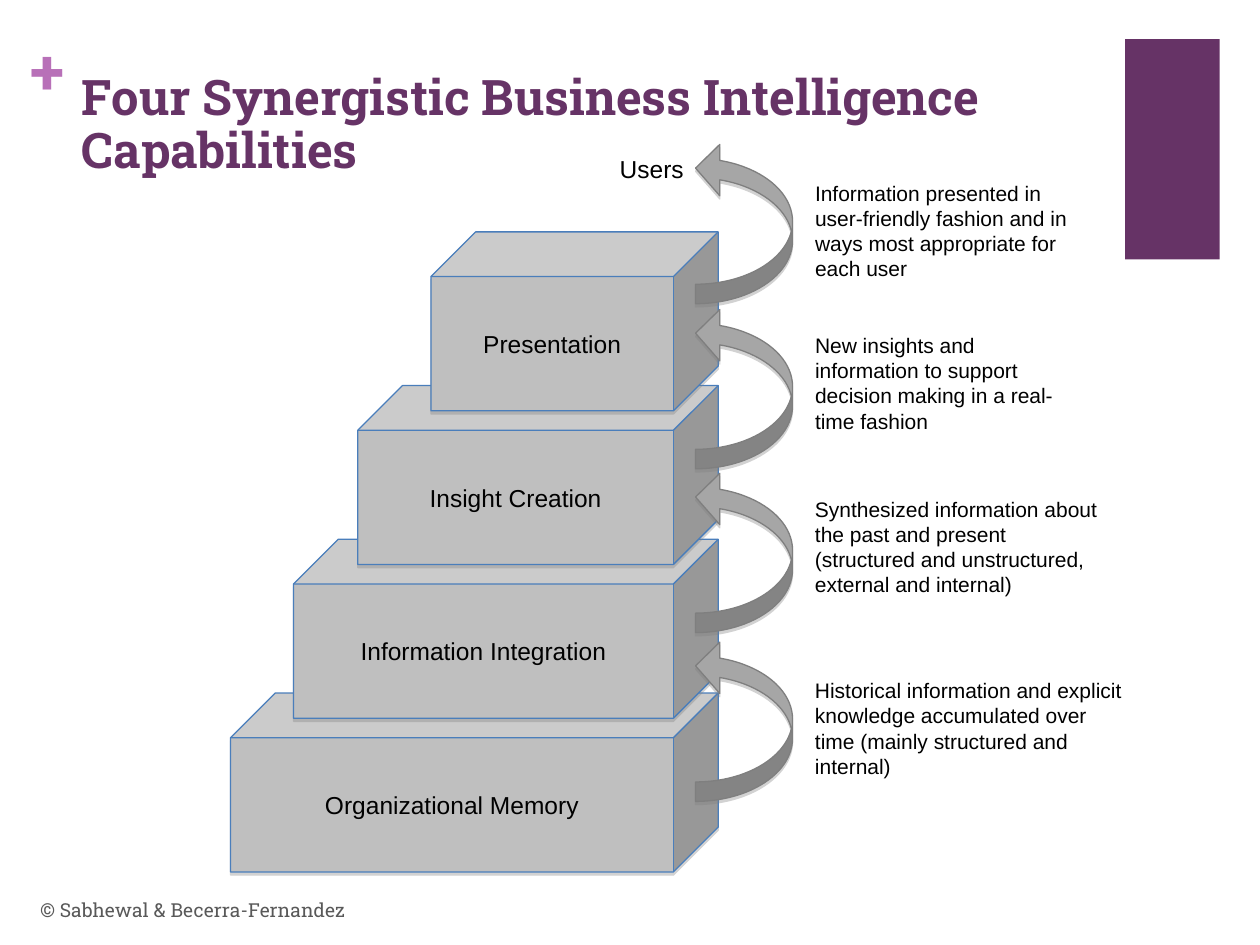
"""Build the slide on four synergistic business intelligence capabilities."""
from lxml import etree
from pptx import Presentation
from pptx.dml.color import RGBColor
from pptx.enum import shapes, text
from pptx.oxml import parse_xml
from pptx.util import Inches, Pt

SHADE = (
    '<a:effectLst xmlns:a="http://schemas.openxmlformats.org/drawingml/2006/main">'
    '<a:outerShdw blurRad="0" dist="22860" dir="5400000" rotWithShape="0">'
    '<a:srgbClr val="808080"><a:alpha val="35000"/></a:srgbClr>'
    '</a:outerShdw></a:effectLst>'
)


def write(shape, words, size, color="000000", face="Arial", bold=False):
    frame = shape.text_frame
    frame.word_wrap = True
    frame.text = words
    para = frame.paragraphs[0]
    para.font.size = Pt(size)
    para.font.name = face
    para.font.bold = bold
    para.font.color.rgb = RGBColor.from_string(color)
    return para


def draw(kind, box, fill, line=None):
    shape = slide.shapes.add_shape(kind, *map(Inches, box))
    shape.fill.solid()
    shape.fill.fore_color.rgb = RGBColor.from_string(fill)
    if line:
        shape.line.color.rgb = RGBColor.from_string(line)
        shape.line.width = Pt(0.75)
        shape._element.spPr.append(parse_xml(SHADE))
    else:
        shape.line.fill.background()
        shape.shadow.inherit = False
    return shape


deck = Presentation()
deck.slide_width, deck.slide_height = Inches(10), Inches(7.5)
slide = deck.slides.add_slide(deck.slide_layouts[5])
SLAB = "Roboto Slab"
KIND = shapes.MSO_SHAPE

title = slide.shapes.title
title.left, title.top = Inches(0.55), Inches(0.53)
title.width, title.height = Inches(8.26), Inches(1.22)
para = write(title, "Four Synergistic Business Intelligence Capabilities",
             28, "663366", SLAB, True)
para.alignment = text.PP_ALIGN.LEFT
para.line_spacing = 0.9
title.text_frame.vertical_anchor = text.MSO_ANCHOR.TOP

draw(KIND.RECTANGLE, (8.93, 0.31, 0.75, 1.75), "663366")

plus = slide.shapes.add_textbox(Inches(0.24), Inches(0.25), Inches(0.28), Inches(0.6))
write(plus, "+", 36, "B870B8", SLAB, True)
frame = plus.text_frame
frame.margin_left = frame.margin_right = frame.margin_top = frame.margin_bottom = 0

steps = [
    ("Organizational Memory", 1.83),
    ("Information Integration", 2.33),
    ("Insight Creation", 2.84),
    ("Presentation", 3.42),
]
for row, (name, left) in enumerate(steps):
    box = (left, 5.5 - 1.22 * row, 5.7 - left, 1.42)
    cube = draw(KIND.CUBE, box, "BFBFBF", "4A7EBB")
    cube.adjustments[0] = 0.25
    write(cube, name, 14).alignment = text.PP_ALIGN.CENTER
    cube.text_frame.vertical_anchor = text.MSO_ANCHOR.MIDDLE

for top in (2.44, 3.74, 5.08, 1.13):
    arrow = draw(KIND.CURVED_RIGHT_ARROW, (5.52, top, 0.77, 1.28), "A6A6A6", "7F7F7F")
    arrow.rotation = 180
    for spot, size in enumerate((0.2, 0.53, 0.25)):
        arrow.adjustments[spot] = size

users = slide.shapes.add_textbox(Inches(4.82), Inches(1.17), Inches(0.71), Inches(0.34))
write(users, "Users", 14)
users.text_frame.word_wrap = False

notes = [
    (5.33, 2.67, "Historical information and explicit knowledge accumulated over "
                 "time (mainly structured and internal)"),
    (3.89, 2.44, "Synthesized information about the past and present "
                 "(structured and unstructured, external and internal)"),
    (2.59, 2.28, "New insights and information to support decision making "
                 "in a real-time fashion"),
    (1.38, 2.28, "Information presented in user-friendly fashion and in ways "
                 "most appropriate for each user"),
]
for top, wide, words in notes:
    note = slide.shapes.add_textbox(Inches(6.37), Inches(top), Inches(wide), Inches(0.9))
    write(note, words, 12)

credit = slide.shapes.add_textbox(Inches(0.22), Inches(7.02), Inches(6.7), Inches(0.4))
write(credit, "© Sabhewal & Becerra-Fernandez", 11, "595959", SLAB)
credit.text_frame.vertical_anchor = text.MSO_ANCHOR.MIDDLE

deck.save("out.pptx")
